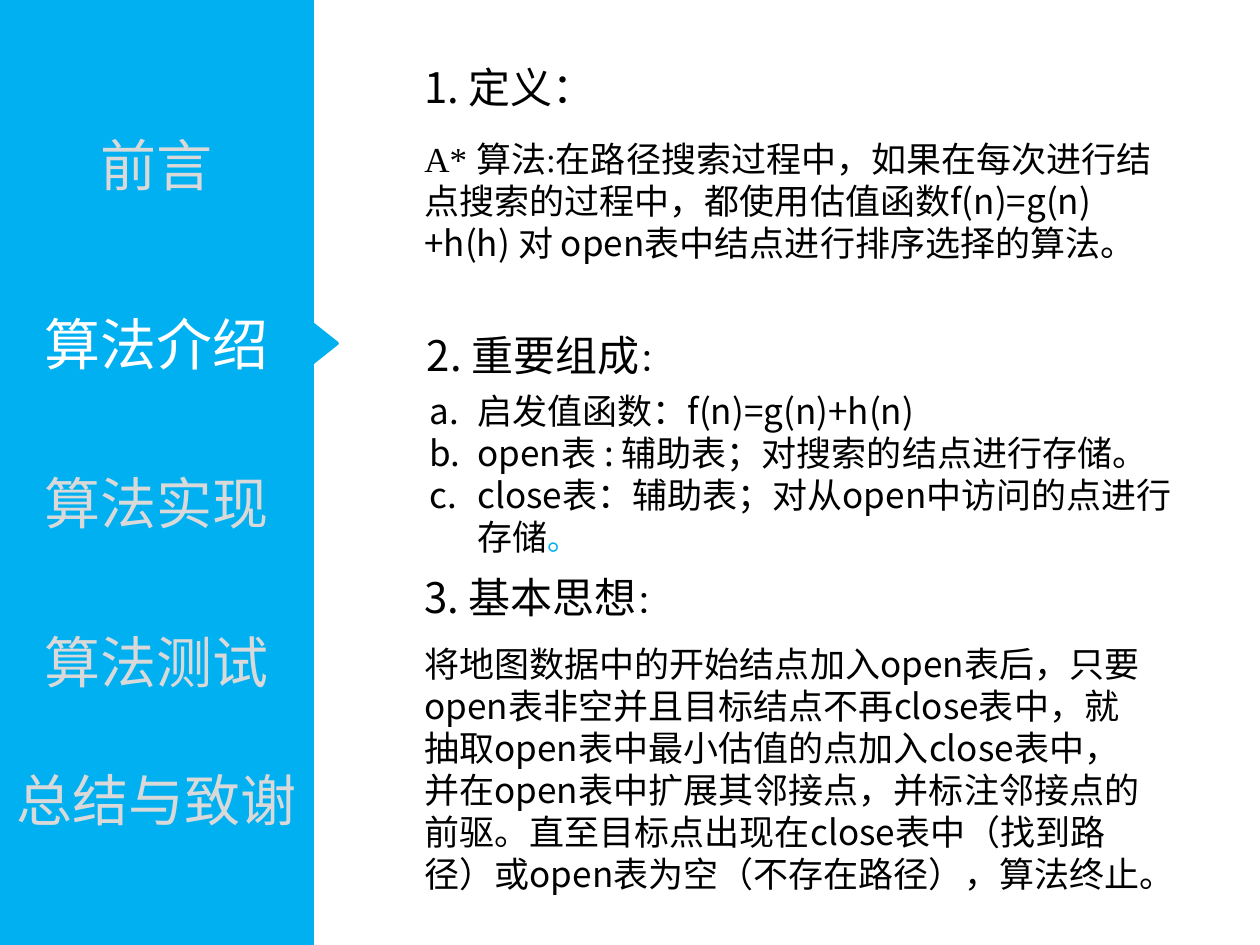
"""Build the A* algorithm introduction slide with its section menu."""
from lxml.etree import SubElement
from pptx import Presentation
from pptx.dml.color import RGBColor
from pptx.enum.shapes import MSO_SHAPE as Shape
from pptx.enum.text import MSO_ANCHOR as Anchor, MSO_AUTO_SIZE as AutoSize, PP_ALIGN as Align
from pptx.oxml.ns import qn
from pptx.util import Inches, Pt

BLUE = RGBColor(0x00, 0xB0, 0xF0)
GREY = RGBColor(0xD9, 0xD9, 0xD9)
WHITE = RGBColor(0xFF, 0xFF, 0xFF)
BLACK = RGBColor(0x00, 0x00, 0x00)
SANS, SERIF = "Noto Sans CJK SC", "Times New Roman"

HEAD = {"size": Pt(24), "name": SANS, "color": BLACK}
HEAD_COLON = {**HEAD, "size": Pt(18)}
BODY = {**HEAD, "size": Pt(20)}
BODY_SERIF = {**BODY, "name": SERIF}
BLUE_STOP = {**BODY, "size": Pt(18), "color": BLUE}
MENU = {"size": Pt(32), "name": SANS, "color": GREY}
MENU_ACTIVE = {**MENU, "color": WHITE}

SLIDE_WIDTH, SLIDE_HEIGHT = 10, 7.5
MENU_WIDTH, MENU_HEIGHT = 2.48, 0.63
POINTER_WIDTH, POINTER_HEIGHT = 0.39, 0.31
TEXT_LEFT, TEXT_WIDTH, HEAD_HEIGHT = 3.27, 5.98, 0.5
LIST_INDENT = Inches(0.38)

ACTIVE = "算法介绍"
MENU_ITEMS = [("前言", 0.99), (ACTIVE, 2.41), ("算法实现", 3.67),
              ("算法测试", 4.93), ("总结与致谢", 6.03)]

HEADINGS = [
    ((TEXT_LEFT, 0.44, 1.59, HEAD_HEIGHT), [("1. 定义：", HEAD)]),
    ((TEXT_LEFT + 0.02, 2.57, 2.18, HEAD_HEIGHT), [("2. 重要组成", HEAD), ("：", HEAD_COLON)]),
    ((TEXT_LEFT, 4.49, 2.18, HEAD_HEIGHT), [("3. 基本思想", HEAD), ("：", HEAD_COLON)]),
]
PASSAGES = [
    ((TEXT_LEFT, 1.04, TEXT_WIDTH, 1.45), [
        ("A* ", BODY_SERIF), ("算法", BODY), (":", BODY_SERIF),
        ("在路径搜索过程中，如果在每次进行结点搜索的过程中，都使用估值函数"
         "f(n)=g(n)+h(h) 对 open表中结点进行排序选择的算法。", BODY)]),
    ((TEXT_LEFT, 5.05, TEXT_WIDTH, 2.12), [
        ("将地图数据中的开始结点加入open表后，只要open表非空并且目标结点不再close表中，"
         "就抽取open表中最小估值的点加入close表中，并在open表中扩展其邻接点，"
         "并标注邻接点的前驱。直至目标点出现在close表中（找到路径）"
         "或open表为空（不存在路径），算法终止。", BODY)]),
]
PARTS_AREA = (TEXT_LEFT + 0.04, 3.04, 6.33, 1.45)
PARTS = [
    [("启发值函数：f(n)=g(n)+h(n)", BODY)],
    [("open表 : 辅助表；对搜索的结点进行存储。", BODY)],
    [("close表：辅助表；对从open中访问的点进行存储", BODY), ("。", BLUE_STOP)],
]


def add_runs(para, runs):
    for text, style in runs:
        span = para.add_run()
        span.text = text
        for key, value in style.items():
            if key == "color":
                span.font.color.rgb = value
            else:
                setattr(span.font, key, value)
        SubElement(span.font._element, qn("a:ea"), typeface=style["name"])


def add_blue_shape(slide, kind, area):
    shape = slide.shapes.add_shape(kind, *map(Inches, area))
    shape.shadow.inherit = False
    shape.fill.solid()
    shape.fill.fore_color.rgb = BLUE
    shape.line.color.rgb = BLUE
    shape.line.width = Pt(2)
    return shape


def add_text(slide, area, paragraphs, wrap=True, lettered=False):
    frame = slide.shapes.add_textbox(*map(Inches, area)).text_frame
    frame.word_wrap = wrap
    frame.auto_size = AutoSize.SHAPE_TO_FIT_TEXT
    for index, runs in enumerate(paragraphs):
        para = frame.add_paragraph() if index else frame.paragraphs[0]
        if lettered:
            properties = para._p.get_or_add_pPr()
            properties.set("marL", str(LIST_INDENT))
            properties.set("indent", str(-LIST_INDENT))
            SubElement(properties, qn("a:buAutoNum"), type="alphaLcPeriod")
        add_runs(para, runs)


def add_menu(slide):
    add_blue_shape(slide, Shape.RECTANGLE, (0, 0, MENU_WIDTH, SLIDE_HEIGHT))
    for label, top in MENU_ITEMS:
        item = add_blue_shape(slide, Shape.RECTANGLE, (0, top, MENU_WIDTH, MENU_HEIGHT))
        item.text_frame.vertical_anchor = Anchor.MIDDLE
        para = item.text_frame.paragraphs[0]
        para.alignment = Align.CENTER
        add_runs(para, [(label, MENU_ACTIVE if label == ACTIVE else MENU)])
    pointer_top = dict(MENU_ITEMS)[ACTIVE] + (MENU_HEIGHT - POINTER_HEIGHT) / 2
    pointer_left = MENU_WIDTH - POINTER_WIDTH / 2
    add_blue_shape(slide, Shape.DIAMOND,
                   (pointer_left, pointer_top, POINTER_WIDTH, POINTER_HEIGHT))


def main():
    deck = Presentation()
    deck.slide_width, deck.slide_height = Inches(SLIDE_WIDTH), Inches(SLIDE_HEIGHT)
    slide = deck.slides.add_slide(deck.slide_layouts[6])
    add_menu(slide)
    for area, runs in HEADINGS:
        add_text(slide, area, [runs], wrap=False)
    for area, runs in PASSAGES:
        add_text(slide, area, [runs])
    add_text(slide, PARTS_AREA, PARTS, lettered=True)
    deck.save("out.pptx")


if __name__ == "__main__":
    main()
